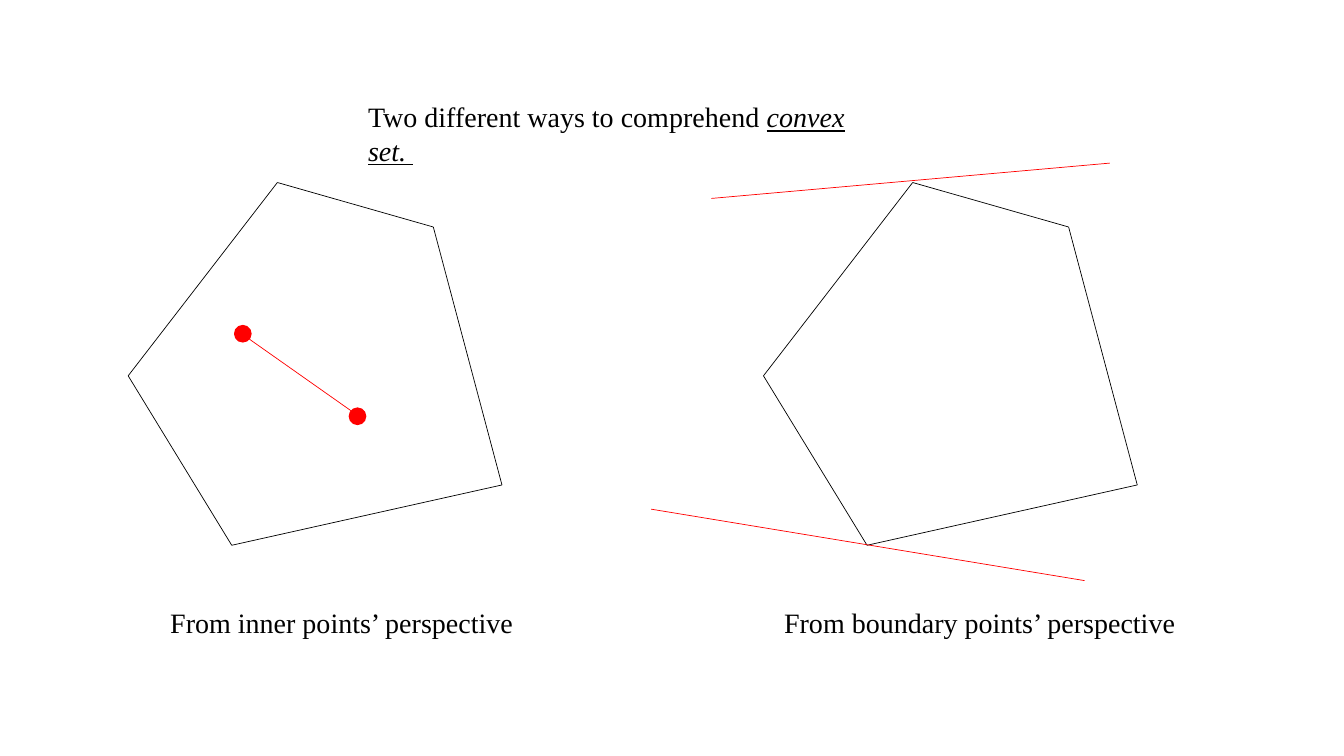
"""Build a slide comparing two views of a convex set."""
from dataclasses import dataclass

from lxml import etree
from pptx import Presentation
from pptx.dml.color import RGBColor
from pptx.enum.shapes import MSO_CONNECTOR, MSO_SHAPE
from pptx.enum.text import MSO_ANCHOR, MSO_AUTO_SIZE, PP_ALIGN
from pptx.oxml.ns import qn
from pptx.util import Cm, Pt

STRAIGHT = MSO_CONNECTOR.STRAIGHT
OVAL = MSO_SHAPE.OVAL
TOP = MSO_ANCHOR.TOP
LEFT = PP_ALIGN.LEFT
GROW = MSO_AUTO_SIZE.SHAPE_TO_FIT_TEXT


@dataclass(frozen=True)
class Theme:
    ink: RGBColor = RGBColor(0, 0, 0)
    accent: RGBColor = RGBColor(255, 0, 0)
    font: str = "Times New Roman"
    size: Pt = Pt(20)
    thin: Pt = Pt(0.5)
    outline: Pt = Pt(1)


THEME = Theme()
TITLE = [("Two different ways to comprehend ", False), ("convex set. ", True)]
TITLE_BOX = (9.02, 2.39, 13.61, 1.12)
CAPTIONS = [
    ("From inner points’ perspective", (4.04, 15.14, 9.55, 1.12)),
    ("From boundary points’ perspective", (19.51, 15.14, 10.95, 1.12)),
]
PENTAGON = [(6.99, 4.6), (3.23, 9.47), (5.84, 13.74), (12.65, 12.22), (10.92, 5.72)]
PENTAGON_SHIFTS = [0, 16.01]
INNER_POINTS = [(6.12, 8.41), (9.01, 10.49)]
DOT = 0.41
INNER_SEGMENT = ((8.86, 10.36), (6.12, 8.43))
TANGENTS = [((17.93, 5), (27.97, 4.11)), ((16.41, 12.83), (27.33, 14.63))]


def add_line(s, start, end, color):
    line = s.shapes.add_connector(STRAIGHT, *map(Cm, (*start, *end)))
    line.line.color.rgb = color
    line.line.width = THEME.thin
    etree.SubElement(line._element.spPr, qn("a:effectLst"))


def add_dot(s, center):
    x, y = center
    dot = s.shapes.add_shape(OVAL, Cm(x - DOT / 2), Cm(y - DOT / 2), Cm(DOT), Cm(DOT))
    dot.shadow.inherit = False
    dot.fill.solid()
    dot.fill.fore_color.rgb = THEME.accent
    dot.line.color.rgb = THEME.accent
    dot.line.width = THEME.outline


def write_text(sp, box, runs):
    sp.left, sp.top, sp.width, sp.height = map(Cm, box)
    tf = sp.text_frame
    tf.word_wrap = True
    tf.auto_size = GROW
    tf.vertical_anchor = TOP
    p = tf.paragraphs[0]
    p.alignment = LEFT
    for text, emphasis in runs:
        r = p.add_run()
        r.text = text
        r.font.name = THEME.font
        r.font.size = THEME.size
        r.font.color.rgb = THEME.ink
        if emphasis:
            r.font.italic = r.font.underline = True


prs = Presentation()
prs.slide_width, prs.slide_height = Cm(33.87), Cm(19.05)
s = prs.slides.add_slide(prs.slide_layouts[5])

for shift in PENTAGON_SHIFTS:
    corners = [(x + shift, y) for x, y in PENTAGON]
    for start, end in zip(corners, corners[1:] + corners[:1]):
        add_line(s, start, end, THEME.ink)

for point in INNER_POINTS:
    add_dot(s, point)
for start, end in [INNER_SEGMENT, *TANGENTS]:
    add_line(s, start, end, THEME.accent)

write_text(s.shapes.title, TITLE_BOX, TITLE)
for text, box in CAPTIONS:
    write_text(s.shapes.add_textbox(*map(Cm, box)), box, [(text, False)])

prs.save("out.pptx")
